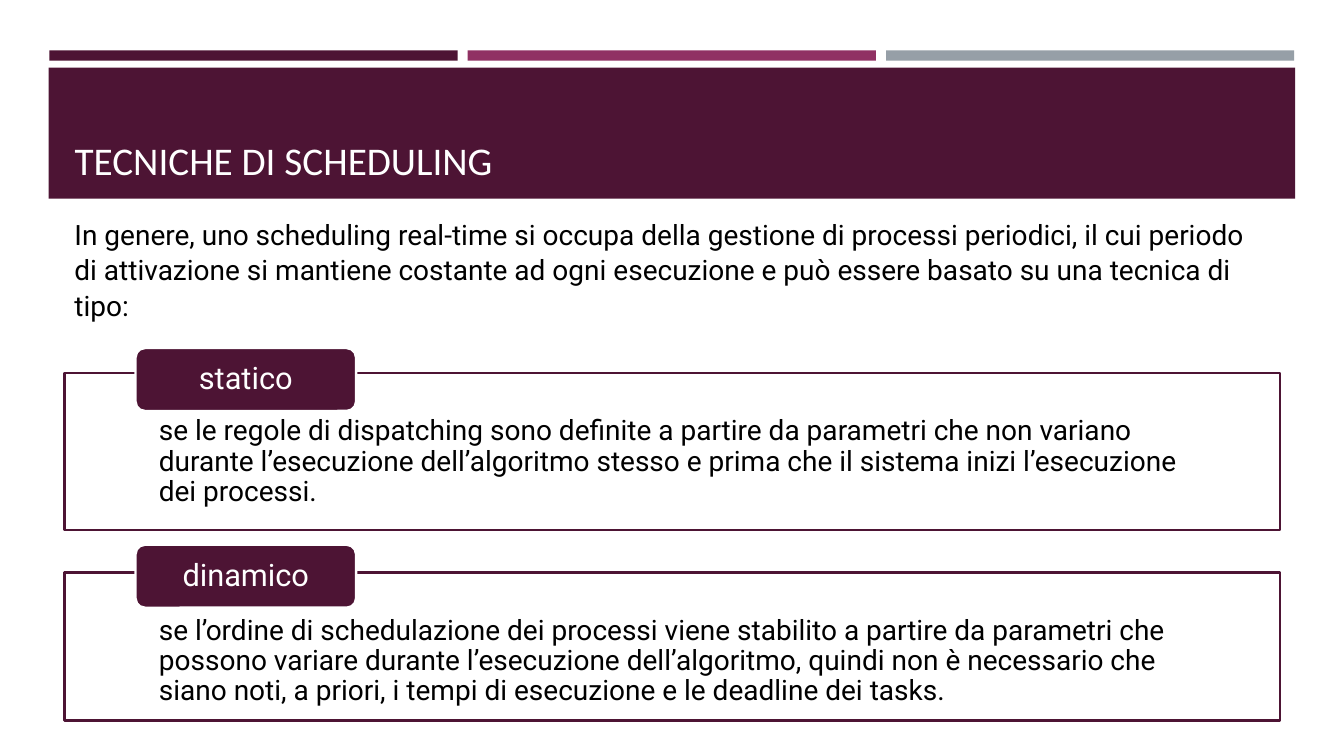
from dataclasses import dataclass

from lxml import etree
from pptx import Presentation
from pptx.dml.color import RGBColor
from pptx.enum import shapes, text
from pptx.oxml import ns
from pptx.util import Pt


@dataclass(frozen=True)
class Theme:
    plum: RGBColor = RGBColor(0x4D, 0x14, 0x34)
    magenta: RGBColor = RGBColor(0x90, 0x31, 0x63)
    grey: RGBColor = RGBColor(0x96, 0x9F, 0xA7)
    white: RGBColor = RGBColor(0xFF, 0xFF, 0xFF)
    black: RGBColor = RGBColor(0, 0, 0)
    title_font: str = "Calibri"
    body_font: str = "Roboto"
    title_size: float = 28
    label_size: float = 22
    body_size: float = 20
    outline: float = 1.75


@dataclass(frozen=True)
class Area:
    left: float
    top: float
    width: float
    height: float

    def lengths(self):
        return Pt(self.left), Pt(self.top), Pt(self.width), Pt(self.height)


@dataclass(frozen=True)
class Technique:
    name: str
    description: str
    label_top: float
    panel_top: float
    panel_height: float


THEME = Theme()
RECTANGLE = shapes.MSO_SHAPE.RECTANGLE
ROUNDED = shapes.MSO_SHAPE.ROUNDED_RECTANGLE
LEFT, CENTER = text.PP_ALIGN.LEFT, text.PP_ALIGN.CENTER
CONTENT_LEFT, CONTENT_WIDTH = 46.1, 868.3
BAR_LEFT, BAR_PITCH = 35.3, 298.8

INTRO = (
    "In genere, uno scheduling real-time si occupa della gestione di processi periodici, "
    "il cui periodo di attivazione si mantiene costante ad ogni esecuzione e può essere "
    "basato su una tecnica di tipo:"
)
TECHNIQUES = (
    Technique(
        "statico",
        "se le regole di dispatching sono definite a partire da parametri che non variano "
        "durante l’esecuzione dell’algoritmo stesso e prima che il sistema inizi "
        "l’esecuzione dei processi.",
        248.6, 266.4, 112.3,
    ),
    Technique(
        "dinamico",
        "se l’ordine di schedulazione dei processi viene stabilito a partire da parametri che "
        "possono variare durante l’esecuzione dell’algoritmo, quindi non è necessario che "
        "siano noti, a priori, i tempi di esecuzione e le deadline dei tasks.",
        389.1, 409, 105.8,
    ),
)


def add_block(page, kind, area: Area, fill: RGBColor, line: RGBColor | None = None):
    block = page.shapes.add_shape(kind, *area.lengths())
    block.shadow.inherit = False
    block.fill.solid()
    block.fill.fore_color.rgb = fill
    if line is None:
        block.line.fill.background()
    else:
        block.line.color.rgb = line
        block.line.width = Pt(THEME.outline)
    return block


def write(box, words: str, font: str, size: float, color: RGBColor, align=LEFT,
          anchor=text.MSO_ANCHOR.TOP, insets=(7.2, 3.6), spacing=0.9, after=0.0) -> None:
    """Insets are the side margin, the top margin and, if it differs, the bottom one."""
    frame = box.text_frame
    frame.word_wrap = True
    frame.auto_size = text.MSO_AUTO_SIZE.NONE
    frame.vertical_anchor = anchor
    frame.margin_left = frame.margin_right = Pt(insets[0])
    frame.margin_top, frame.margin_bottom = Pt(insets[1]), Pt(insets[-1])
    para = frame.paragraphs[0]
    para.text = words
    para.alignment = align
    para.line_spacing = spacing
    para.space_before, para.space_after = Pt(0), Pt(after)
    para.font.name, para.font.size = font, Pt(size)
    para.font.color.rgb = color


def set_opacity(block, percent: int) -> None:
    color = block.fill._xPr.find(".//" + ns.qn("a:srgbClr"))
    etree.SubElement(color, ns.qn("a:alpha"), val=str(percent * 1000))


def add_header(page) -> None:
    for index, color in enumerate((THEME.plum, THEME.magenta, THEME.grey)):
        area = Area(BAR_LEFT + index * BAR_PITCH, 36, 291.6, 7.4)
        add_block(page, RECTANGLE, area, color)
    add_block(page, RECTANGLE, Area(34.8, 48.4, 890.4, 93.6), THEME.plum)

    title = page.shapes.title
    title.left, title.top, title.width, title.height = Area(
        CONTENT_LEFT, 55.4, CONTENT_WIDTH, 79.9).lengths()
    write(title, "TECNICHE DI SCHEDULING", THEME.title_font, THEME.title_size,
          THEME.white, anchor=text.MSO_ANCHOR.BOTTOM)
    # The title must lie in front of the band.
    page.shapes._spTree.append(title._element)


def add_technique(page, technique: Technique) -> None:
    panel = add_block(
        page, RECTANGLE,
        Area(CONTENT_LEFT, technique.panel_top, CONTENT_WIDTH, technique.panel_height),
        THEME.white, THEME.plum)
    set_opacity(panel, 90)
    write(panel, technique.description, THEME.body_font, THEME.body_size, THEME.black,
          insets=(67.4, 31.2, 11.2), after=4)

    label = add_block(page, ROUNDED, Area(96.8, technique.label_top, 157.6, 45),
                      THEME.plum, THEME.white)
    label.adjustments[0] = 0.15
    write(label, technique.name, THEME.body_font, THEME.label_size, THEME.white,
          CENTER, text.MSO_ANCHOR.MIDDLE, insets=(25, 2.2))


def main() -> None:
    deck = Presentation()
    deck.slide_width, deck.slide_height = Pt(960), Pt(540)
    page = deck.slides.add_slide(deck.slide_layouts[5])
    add_header(page)
    intro = page.shapes.add_textbox(*Area(CONTENT_LEFT, 149.8, CONTENT_WIDTH, 84.2).lengths())
    write(intro, INTRO, THEME.body_font, THEME.body_size, THEME.black, spacing=1.07, after=8)
    for technique in TECHNIQUES:
        add_technique(page, technique)
    deck.save("out.pptx")


if __name__ == "__main__":
    main()
